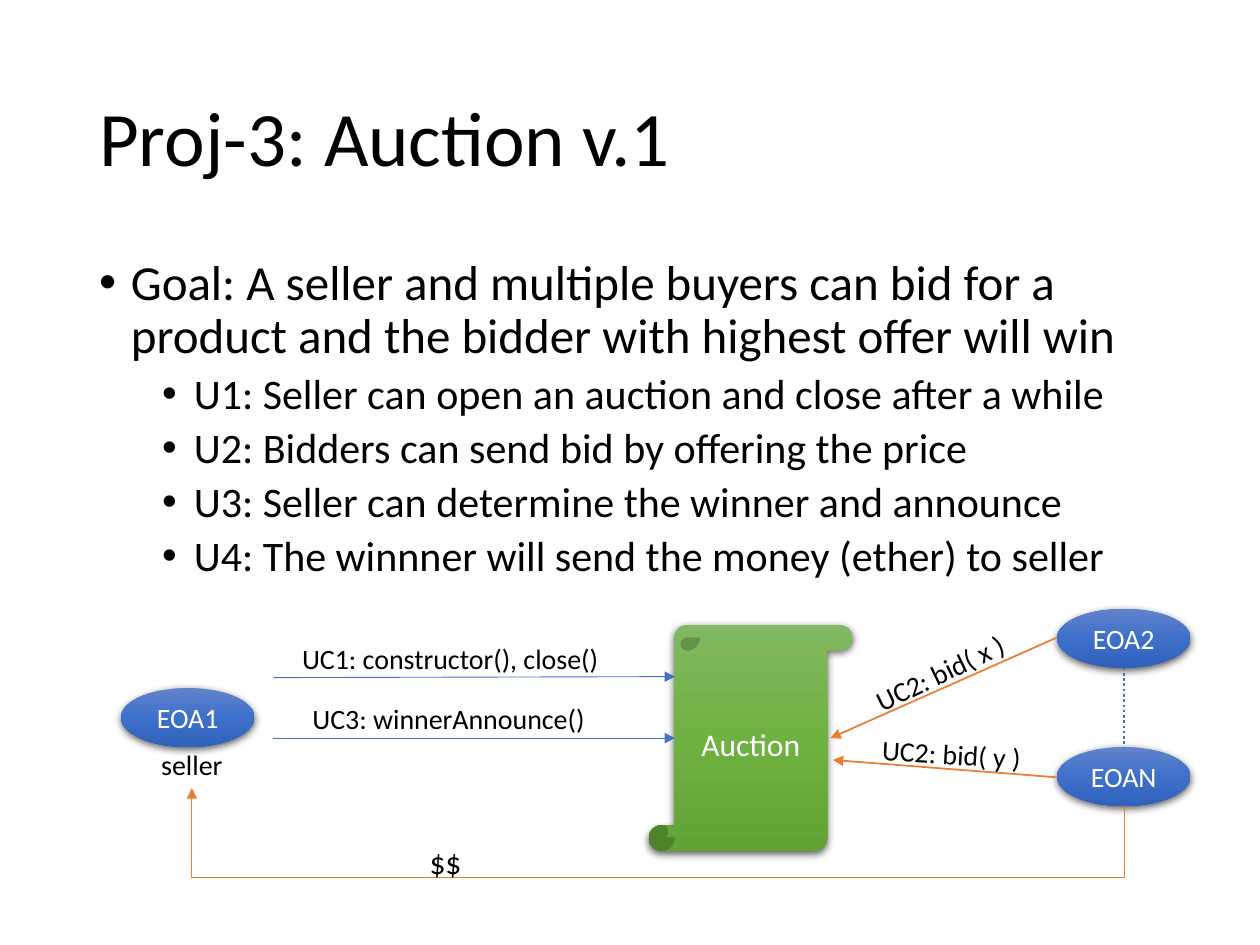
from pptx import Presentation
from pptx import util as u
from pptx.dml.color import RGBColor
from pptx.enum import dml, shapes, text
from pptx.oxml import parse_xml
from pptx.oxml.ns import nsdecls, qn

BLACK = RGBColor(0x00, 0x00, 0x00)
WHITE = RGBColor(0xFF, 0xFF, 0xFF)
BLUE = RGBColor(0x44, 0x72, 0xC4)
ORANGE = RGBColor(0xED, 0x7D, 0x31)
BLUE_SHADES = [RGBColor(0x61, 0x83, 0xCB), RGBColor(0x3E, 0x70, 0xCA), RGBColor(0x30, 0x62, 0xBB)]
GREEN_SHADES = [RGBColor(0x81, 0xB8, 0x61), RGBColor(0x6F, 0xB2, 0x42), RGBColor(0x62, 0xA3, 0x36)]

GOAL = "Goal: A seller and multiple buyers can bid for a product and the bidder with highest offer will win"
USE_CASES = [
    "U1: Seller can open an auction and close after a while",
    "U2: Bidders can send bid by offering the price",
    "U3: Seller can determine the winner and announce",
    "U4: The winnner will send the money (ether) to seller",
]


def cm(*lengths):
    return [u.Cm(length) for length in lengths]


def apply_format(target, values):
    for name, value in values.items():
        setattr(target, name, value)


def write(paragraph, content, size, color=BLACK, **paragraph_format):
    run = paragraph.add_run()
    run.text = content
    apply_format(run.font, {"name": "Calibri", "size": u.Pt(size)})
    run.font.color.rgb = color
    apply_format(paragraph, paragraph_format)


def add_text_box(slide, box, **frame_format):
    shape = slide.shapes.add_textbox(*cm(*box))
    apply_format(shape.text_frame, {"word_wrap": True, **frame_format})
    return shape


def add_label(slide, content, box, size=16, rotation=0):
    shape = add_text_box(slide, box, word_wrap=False,
                         auto_size=text.MSO_AUTO_SIZE.SHAPE_TO_FIT_TEXT)
    shape.rotation = rotation
    write(shape.text_frame.paragraphs[0], content, size)


def add_bullet(paragraph, content, size, level, space_before):
    write(paragraph, content, size, level=level, line_spacing=0.9,
          space_before=u.Pt(space_before))
    properties = paragraph._p.get_or_add_pPr()
    properties.set("marL", str(u.Cm(0.64 + 1.27 * level)))
    properties.set("indent", str(u.Cm(-0.64)))
    properties.append(parse_xml(f'<a:buFont {nsdecls("a")} typeface="Arial"/>'))
    properties.append(parse_xml(f'<a:buChar {nsdecls("a")} char="•"/>'))


def add_node(slide, kind, content, box, shades, size):
    shape = slide.shapes.add_shape(kind, *cm(*box))
    shape.line.fill.background()
    shape.shadow.inherit = False
    properties = shape._element.spPr
    # Three-stop vertical gradient
    stops = "".join(f'<a:gs pos="{index * 50000}"><a:srgbClr val="{shade}"/></a:gs>'
                    for index, shade in enumerate(shades))
    properties.find(qn("a:prstGeom")).addnext(parse_xml(
        f'<a:gradFill {nsdecls("a")} rotWithShape="1"><a:gsLst>{stops}</a:gsLst>'
        '<a:lin ang="5400000" scaled="0"/></a:gradFill>'))
    # Soft shadow below
    properties.find(qn("a:effectLst")).append(parse_xml(
        f'<a:outerShdw {nsdecls("a")} blurRad="{u.Pt(4.5)}" dist="{u.Pt(1.5)}" dir="5400000" '
        'algn="ctr" rotWithShape="0"><a:srgbClr val="000000"><a:alpha val="63000"/>'
        '</a:srgbClr></a:outerShdw>'))
    shape.text_frame.vertical_anchor = text.MSO_ANCHOR.MIDDLE
    write(shape.text_frame.paragraphs[0], content, size, WHITE, alignment=text.PP_ALIGN.CENTER)


def add_line(slide, ends, color, width, arrow=True, kind=shapes.MSO_CONNECTOR.STRAIGHT):
    connector = slide.shapes.add_connector(kind, *cm(*ends))
    connector.line.color.rgb = color
    connector.line.width = u.Pt(width)
    if arrow:
        connector.line._get_or_add_ln().append(
            parse_xml(f'<a:tailEnd {nsdecls("a")} type="triangle"/>'))
    connector._element.spPr.append(parse_xml(f'<a:effectLst {nsdecls("a")}/>'))
    return connector


def add_payment_route(slide):
    # Quarter-turned elbow whose middle leg runs below both ends
    route = add_line(slide, (13.46, 6.68, 13.08, 25.48), ORANGE, 0.5,
                     kind=shapes.MSO_CONNECTOR.ELBOW)
    properties = route._element.spPr
    properties.find(qn("a:xfrm")).set("rot", "5400000")
    geometry = properties.find(qn("a:prstGeom"))
    for old in geometry.findall(qn("a:avLst")):
        geometry.remove(old)
    geometry.append(parse_xml(
        f'<a:avLst {nsdecls("a")}><a:gd name="adj1" fmla="val -375700"/></a:avLst>'))


def main():
    presentation = Presentation()
    apply_format(presentation, {"slide_width": u.Cm(25.4), "slide_height": u.Cm(19.05)})
    slide = presentation.slides.add_slide(presentation.slide_layouts[6])

    # Title and goals
    title = add_text_box(slide, (1.75, 1.02, 21.89, 3.68), vertical_anchor=text.MSO_ANCHOR.MIDDLE)
    write(title.text_frame.paragraphs[0], "Proj-3: Auction v.1", 44, line_spacing=0.9)
    body = add_text_box(slide, (1.75, 5.08, 21.89, 12.09)).text_frame
    add_bullet(body.paragraphs[0], GOAL, 28, 0, 10)
    for use_case in USE_CASES:
        add_bullet(body.add_paragraph(), use_case, 24, 1, 5)

    # Contract and accounts
    add_node(slide, shapes.MSO_SHAPE.VERTICAL_SCROLL, "Auction",
             (13.08, 12.6, 4.11, 4.55), GREEN_SHADES, 18)
    for name, left, top in [("EOA1", 2.44, 13.87), ("EOA2", 21.31, 12.27), ("EOAN", 21.31, 15.06)]:
        add_node(slide, shapes.MSO_SHAPE.OVAL, name, (left, top, 2.69, 1.19), BLUE_SHADES, 16)

    # Calls from the seller and bids from the buyers
    for ends, color, width in [
        ((5.51, 14.88, 13.61, 14.88), BLUE, 0.5),
        ((5.51, 13.66, 13.61, 13.64), BLUE, 0.5),
        ((21.31, 12.85, 16.74, 14.88), ORANGE, 1),
        ((21.31, 15.67, 16.79, 15.32), ORANGE, 1),
    ]:
        add_line(slide, ends, color, width)
    more_buyers = add_line(slide, (22.66, 13.46, 22.66, 15.06), BLUE, 1.5, arrow=False)
    more_buyers.line.dash_style = dml.MSO_LINE.ROUND_DOT
    add_payment_route(slide)

    # Labels
    add_label(slide, "UC1: constructor(), close()", (5.84, 12.8, 6.58, 0.94))
    add_label(slide, "seller", (3, 14.94, 1.75, 0.94))
    add_label(slide, "UC3: winnerAnnounce()", (6.05, 14.02, 6.07, 0.94))
    add_label(slide, "UC2: bid( x )", (17.3, 13.08, 3.33, 0.94), rotation=334.2)
    add_label(slide, "UC2: bid( y )", (17.53, 14.73, 3.35, 0.94), rotation=3.2)
    add_label(slide, "$$", (8.41, 16.87, 1.17, 1.02), size=18)

    presentation.save("out.pptx")


if __name__ == "__main__":
    main()
